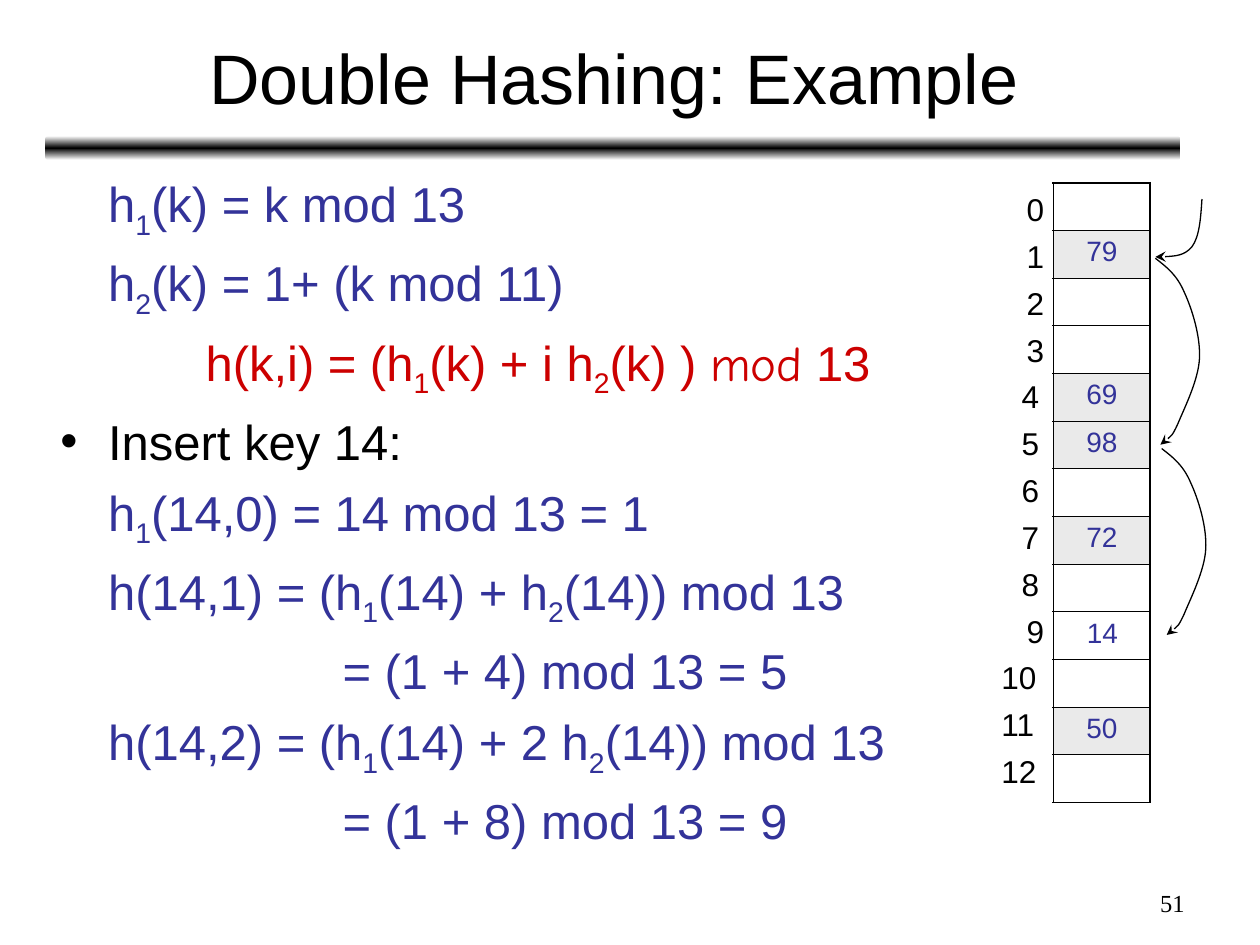
from copy import deepcopy

from lxml import etree
from pptx import Presentation
from pptx.dml.color import RGBColor
from pptx.enum.shapes import MSO_SHAPE
from pptx.enum.text import MSO_ANCHOR, PP_ALIGN
from pptx.oxml.ns import qn
from pptx.util import Inches, Pt

BLACK = RGBColor(0x00, 0x00, 0x00)
WHITE = RGBColor(0xFF, 0xFF, 0xFF)
BLUE = RGBColor(0x33, 0x33, 0x99)
RED = RGBColor(0xCC, 0x00, 0x00)
GRAY = RGBColor(0xEA, 0xEA, 0xEA)

prs = Presentation()
prs.slide_width, prs.slide_height = Inches(10), Inches(7.5)
slide = prs.slides.add_slide(prs.slide_layouts[6])
shapes = slide.shapes


def add_run(paragraph, text, size, color, font="Arial"):
    run = paragraph.add_run()
    run.text = text
    run.font.size = Pt(size)
    run.font.name = font
    run.font.color.rgb = color
    return run


def add_label(text, left, top, width, height, size, color=BLACK,
              align=PP_ALIGN.LEFT, font="Arial", wrap=True):
    frame = shapes.add_textbox(Inches(left), Inches(top),
                               Inches(width), Inches(height)).text_frame
    frame.word_wrap = wrap
    frame.paragraphs[0].alignment = align
    add_run(frame.paragraphs[0], text, size, color, font)
    return frame


# Title and the rule below it
rule = shapes.add_shape(MSO_SHAPE.ROUNDED_RECTANGLE,
                        Inches(0.36), Inches(1.08), Inches(9.01), Inches(0.19))
rule.shadow.inherit = False
rule.line.fill.background()
rule.fill.gradient()
rule.fill.gradient_angle = 90
first_stop = rule._element.spPr.find(".//" + qn("a:gs"))
first_stop.addnext(deepcopy(first_stop))
for stop, position, color in zip(rule.fill.gradient_stops, (0, 0.5, 1), (WHITE, BLACK, WHITE)):
    stop.position = position
    stop.color.rgb = color

title = add_label("Double Hashing: Example", 0.37, 0.11, 9, 0.99, 40, align=PP_ALIGN.CENTER)
title.vertical_anchor = MSO_ANCHOR.MIDDLE

# Worked example: "_" lowers the next character, "|" switches the font
TEXT_INDENT, RESULT_INDENT = 0.38, 2.24
steps = [
    ("h_1(k) = k mod 13", BLUE, TEXT_INDENT),
    ("h_2(k) = 1+ (k mod 11)", BLUE, TEXT_INDENT),
    ("h(k,i) = (h_1(k) + i h_2(k) ) |mod| 13", RED, 0),
    ("Insert key 14:", BLACK, TEXT_INDENT),
    ("h_1(14,0) = 14 mod 13 = 1", BLUE, TEXT_INDENT),
    ("h(14,1) = (h_1(14) + h_2(14)) mod 13", BLUE, TEXT_INDENT),
    ("= (1 + 4) mod 13 = 5", BLUE, RESULT_INDENT),
    ("h(14,2) = (h_1(14) + 2 h_2(14)) mod 13", BLUE, TEXT_INDENT),
    ("= (1 + 8) mod 13 = 9", BLUE, RESULT_INDENT),
]
example = shapes.add_textbox(Inches(0.38), Inches(1.33), Inches(7.78), Inches(5.55)).text_frame
example.word_wrap = True
for number, (text, color, indent) in enumerate(steps):
    paragraph = example.add_paragraph() if number else example.paragraphs[0]
    if number:
        paragraph.space_before = Pt(7)
    if color == RED:
        paragraph.alignment = PP_ALIGN.CENTER
    properties = paragraph._p.get_or_add_pPr()
    properties.set("marL", str(Inches(indent)))
    if color == BLACK:
        properties.set("indent", str(-Inches(indent)))
        etree.SubElement(properties, qn("a:buFont"), typeface="Arial")
        etree.SubElement(properties, qn("a:buChar"), char="•")
    for part, font_part in enumerate(text.split("|")):
        font = "Comic Neue" if part % 2 else "Arial"
        head, *lowered = font_part.split("_")
        add_run(paragraph, head, 28, color, font)
        for piece in lowered:
            subscript = add_run(paragraph, piece[0], 28, color, font)
            subscript.font._element.set("baseline", "-25000")
            add_run(paragraph, piece[1:], 28, color, font)

# Hash table
SLOTS = 13
keys = {1: "79", 4: "69", 5: "98", 7: "72", 11: "50"}
table_frame = shapes.add_table(SLOTS, 1, Inches(8.36), Inches(1.45), Inches(0.77), Inches(4.92))
table = table_frame.table
table.first_row = table.horz_banding = False
for slot in range(SLOTS):
    cell = table.cell(slot, 0)
    borders = {"L": 1.08, "R": 1.08,
               "T": 0.45 if slot else 1.08,
               "B": 0.45 if slot < SLOTS - 1 else 1.08}
    for side, width in borders.items():
        border = etree.SubElement(cell._tc.get_or_add_tcPr(), qn(f"a:ln{side}"), w=str(Pt(width)))
        border_fill = etree.SubElement(border, qn("a:solidFill"))
        etree.SubElement(border_fill, qn("a:srgbClr"), val=str(BLACK))
    if slot in keys:
        cell.fill.solid()
        cell.fill.fore_color.rgb = GRAY
        cell.text_frame.paragraphs[0].alignment = PP_ALIGN.CENTER
        add_run(cell.text_frame.paragraphs[0], keys[slot], 16, BLUE)
    else:
        cell.fill.background()
        cell.margin_top = cell.margin_bottom = 0

# Slot numbers
for slot in range(SLOTS):
    if slot >= 10:
        left, width = 7.85, 0.54
    elif 4 <= slot <= 8:
        left, width = 8.01, 0.39
    else:
        left, width = 8.05, 0.34
    add_label(str(slot), left, 1.46 + slot * 4.46 / 12, width, 0.4, 18, wrap=slot >= 10)

# Probe arrows: a start point, then three Bezier points per curve
entry = [(9.54, 1.58), (9.53, 1.73), (9.52, 1.88), (9.46, 1.96),
         (9.4, 2.03), (9.28, 2.04), (9.17, 2.04)]
first_jump = [(9.17, 2.05), (9.26, 2.12), (9.34, 2.18), (9.4, 2.32),
              (9.46, 2.45), (9.53, 2.67), (9.52, 2.85),
              (9.51, 3.02), (9.4, 3.24), (9.35, 3.36),
              (9.3, 3.47), (9.25, 3.5), (9.21, 3.53)]
second_jump = [(x + 0.05, y + 1.51) for x, y in first_jump]
for probe in (entry, first_jump, second_jump):
    start, *points = [(Inches(x), Inches(y)) for x, y in probe]
    builder = shapes.build_freeform(*start)
    builder.add_line_segments(points, close=False)
    arrow = builder.convert_to_shape()
    arrow.shadow.inherit = False
    arrow.fill.background()
    arrow.line.color.rgb = BLACK
    arrow.line.width = Pt(0.75)
    etree.SubElement(arrow.line._get_or_add_ln(), qn("a:tailEnd"), type="stealth")
    outline = arrow._element.spPr.find(".//" + qn("a:path"))
    segments = outline.findall(qn("a:lnTo"))
    for first in range(0, len(segments), 3):
        curve = etree.SubElement(outline, qn("a:cubicBezTo"))
        for segment in segments[first:first + 3]:
            curve.append(segment[0])
            outline.remove(segment)

add_label("14", 8.45, 4.84, 0.6, 0.37, 16, BLUE, align=PP_ALIGN.CENTER)
add_label("51", 7.17, 7, 2.33, 0.35, 14, align=PP_ALIGN.RIGHT, font="Times New Roman")

prs.save("out.pptx")
